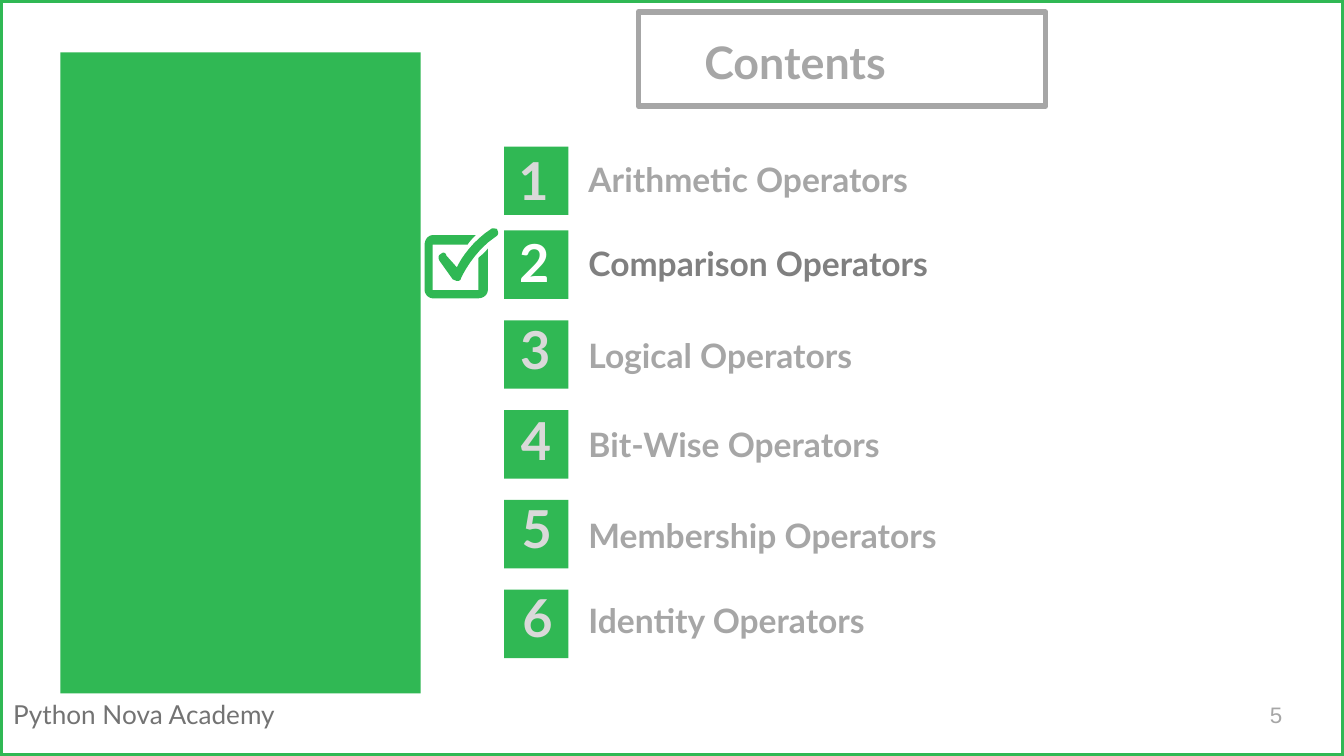
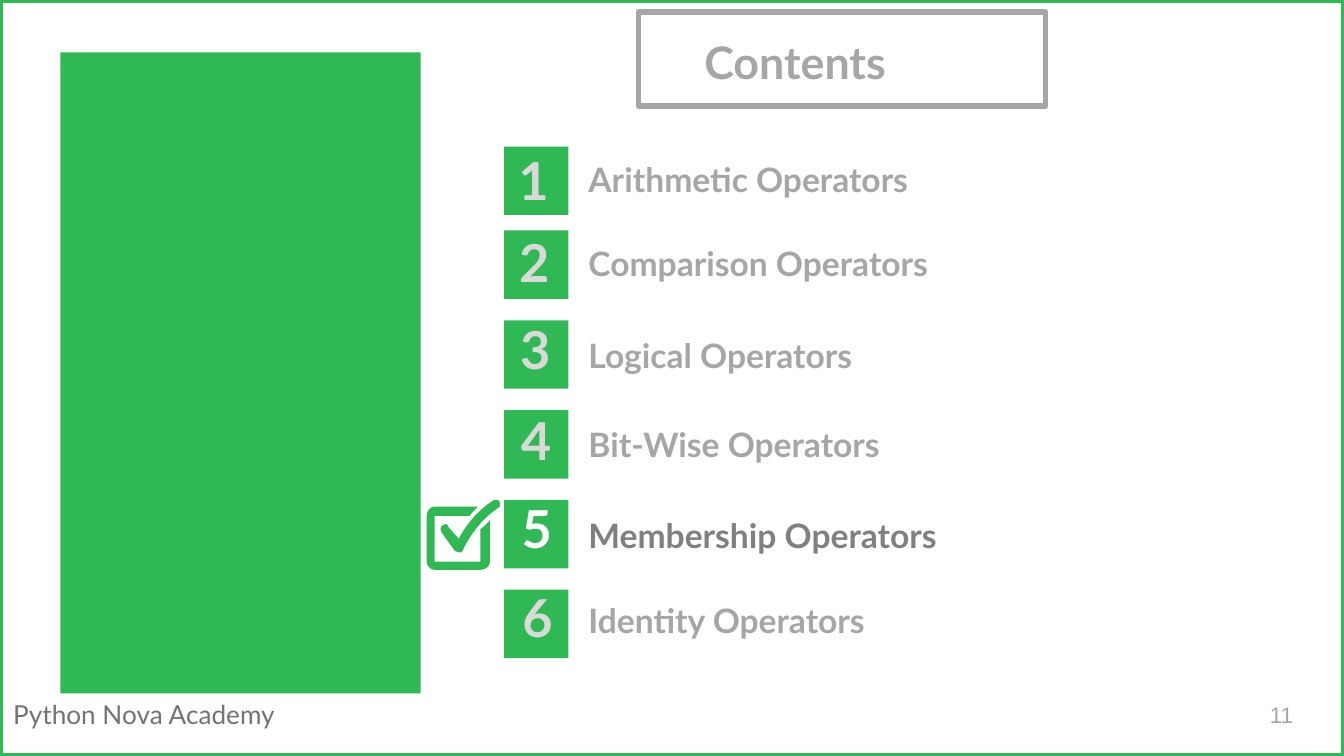
from dataclasses import dataclass

from pptx import Presentation
from pptx.dml.color import RGBColor
from pptx.enum.shapes import MSO_SHAPE
from pptx.enum.text import MSO_ANCHOR, MSO_AUTO_SIZE, PP_ALIGN
from pptx.util import Inches, Pt

RECTANGLE = MSO_SHAPE.RECTANGLE
TOP, MIDDLE, BOTTOM = MSO_ANCHOR.TOP, MSO_ANCHOR.MIDDLE, MSO_ANCHOR.BOTTOM
LEFT, CENTER = PP_ALIGN.LEFT, PP_ALIGN.CENTER
NO_AUTOFIT = MSO_AUTO_SIZE.NONE

GREEN = RGBColor(0x30, 0xB8, 0x54)
WHITE = RGBColor(0xFF, 0xFF, 0xFF)
PALE_GRAY = RGBColor(0xD9, 0xD9, 0xD9)
GRAY = RGBColor(0xA6, 0xA6, 0xA6)
DARK_GRAY = RGBColor(0x80, 0x80, 0x80)
FOOTER_GRAY = RGBColor(0x73, 0x73, 0x73)

# The slide is a grid of square cells, 1000 columns wide.
COLUMNS, ROWS = 1000, 562.5
WIDTH = Inches(10)
CELL = WIDTH / COLUMNS

TOPICS = ["Arithmetic", "Comparison", "Logical", "Bit-Wise", "Membership", "Identity"]
FIRST_TOP, SECOND_TOP, TOPIC_PITCH = 109, 171.5, 66.8
NUMBER_RISES = [10, 12, 14, 13, 14, 15]
LABEL_RISES = [2, 2, 0, 1, 0, 3]

# Outlines on the grid: pairs are corners, triples of pairs are Bezier curves.
TICK = [
    (51, 0), (50, 0), ((36, 9), (27, 22), (24, 29)), (16, 20),
    ((16, 19), (15, 18), (14, 18)), ((13, 18), (12, 19), (12, 19)),
    ((10, 20), (10, 22), (11, 24)), (21, 38), ((22, 38), (23, 39), (24, 39)),
    (25, 39), ((26, 39), (27, 38), (27, 37)), ((27, 37), (36, 17), (53, 6)),
    ((55, 5), (55, 3), (54, 1)), ((54, 0), (52, 0), (51, 0)),
]
CHECKBOX = [
    (40, 22), (40, 46), (6, 46), (6, 12), (32, 12), ((34, 9), (36, 7), (38, 5)),
    (6, 5), ((3, 5), (0, 8), (0, 12)), (0, 46), ((0, 49), (3, 52), (6, 52)),
    (40, 52), ((44, 52), (47, 49), (47, 46)), (47, 15), ((45, 18), (42, 20), (40, 22)),
]
CURVE_STEPS = 8
FINE = 100  # outline units per cell


@dataclass
class Box:
    left: float
    top: float
    width: float
    height: float

    def inner(self, left, top, width, height):
        return Box(self.left + left, self.top + top, width, height)

    def lengths(self):
        return [round(side * CELL) for side in (self.left, self.top, self.width, self.height)]


def add_rectangle(page, box, fill=None, line=None):
    shape = page.shapes.add_shape(RECTANGLE, *box.lengths())
    shape.shadow.inherit = False
    if fill is None:
        shape.fill.background()
    else:
        shape.fill.solid()
        shape.fill.fore_color.rgb = fill
    if line is None:
        shape.line.fill.background()
    else:
        shape.line.color.rgb = line
        shape.line.width = Pt(3)


def write(shape, text, size, color, bold=True, font="Lato", anchor=MIDDLE, align=LEFT):
    frame = shape.text_frame
    frame.text = text
    frame.word_wrap = True
    frame.auto_size = NO_AUTOFIT
    frame.vertical_anchor = anchor
    frame.margin_left = frame.margin_right = Inches(0.1)
    frame.margin_top = frame.margin_bottom = Inches(0.05 if anchor == TOP else 0.1)
    para = frame.paragraphs[0]
    para.alignment = align
    span = para.runs[0].font
    span.name, span.size, span.bold = font, Pt(size), bold
    span.color.rgb = color


def add_text(page, box, text, size, color, **style):
    write(page.shapes.add_textbox(*box.lengths()), text, size, color, **style)


def flatten(outline):
    """Turn corners and Bezier curves into a list of points."""
    points = []
    for part in outline:
        if not isinstance(part[0], tuple):
            points.append(part)
            continue
        controls = [points[-1], *part]
        for step in range(1, CURVE_STEPS + 1):
            t = step / CURVE_STEPS
            weights = [(1 - t) ** 3, 3 * t * (1 - t) ** 2, 3 * t * t * (1 - t), t ** 3]
            points.append(tuple(
                sum(weight * point[axis] for weight, point in zip(weights, controls))
                for axis in (0, 1)))
    return points


def add_check_mark(page, left, top):
    group = page.shapes.add_group_shape()
    for outline in (TICK, CHECKBOX):
        points = [(x * FINE, y * FINE) for x, y in flatten(outline)]
        builder = group.shapes.build_freeform(*points[0], scale=CELL / FINE)
        builder.add_line_segments(points[1:], close=True)
        shape = builder.convert_to_shape(round(left * CELL), round(top * CELL))
        shape.shadow.inherit = False
        shape.fill.solid()
        shape.fill.fore_color.rgb = GREEN
        shape.line.fill.background()


def add_frame(page, slide, number):
    """Draw the border, side panel, footer and page number."""
    add_text(page, slide.inner(0, 515, 255, 34), "Python Nova Academy", 14, FOOTER_GRAY,
             bold=False, anchor=TOP)
    add_rectangle(page, slide.inner(45, 39, 268, 477), fill=GREEN)
    add_rectangle(page, slide, line=GREEN)
    add_text(page, slide.inner(935, 510, 60, 43), str(number), 12, GRAY,
             bold=False, font="Arial")


def add_title(page, box):
    add_rectangle(page, box, line=GRAY)
    title = page.shapes.title
    title.left, title.top, title.width, title.height = box.inner(39, 13, 212, 41).lengths()
    write(title, "Contents", 24, GRAY)
    title.text_frame.paragraphs[0].line_spacing = 1.15


def add_topic(page, box, index, is_current):
    add_rectangle(page, box, fill=GREEN)
    add_text(page, box.inner(0.6 * index - 47, -NUMBER_RISES[index], 138, 70),
             str(index + 1), 28, WHITE if is_current else PALE_GRAY, align=CENTER)
    add_text(page, box.inner(53, -LABEL_RISES[index], 572, 51),
             f"{TOPICS[index]} Operators", 18, DARK_GRAY if is_current else GRAY, anchor=BOTTOM)


def add_contents_page(deck, number, current, mark_left, mark_top):
    page = deck.slides.add_slide(deck.slide_layouts[5])
    slide = Box(0, 0, COLUMNS, ROWS)
    add_frame(page, slide, number)
    add_title(page, slide.inner(475, 9, 303, 70))
    for index, topic in enumerate(TOPICS):
        top = SECOND_TOP + (index - 1) * TOPIC_PITCH if index else FIRST_TOP
        add_topic(page, slide.inner(375, top, 48, 51), index, topic == current)
    add_check_mark(page, mark_left, mark_top)


def main():
    deck = Presentation()
    deck.slide_width = WIDTH
    deck.slide_height = round(ROWS * CELL)
    add_contents_page(deck, 5, "Comparison", 316, 170)
    add_contents_page(deck, 11, "Membership", 317.5, 372)
    deck.save("out.pptx")


if __name__ == "__main__":
    main()
